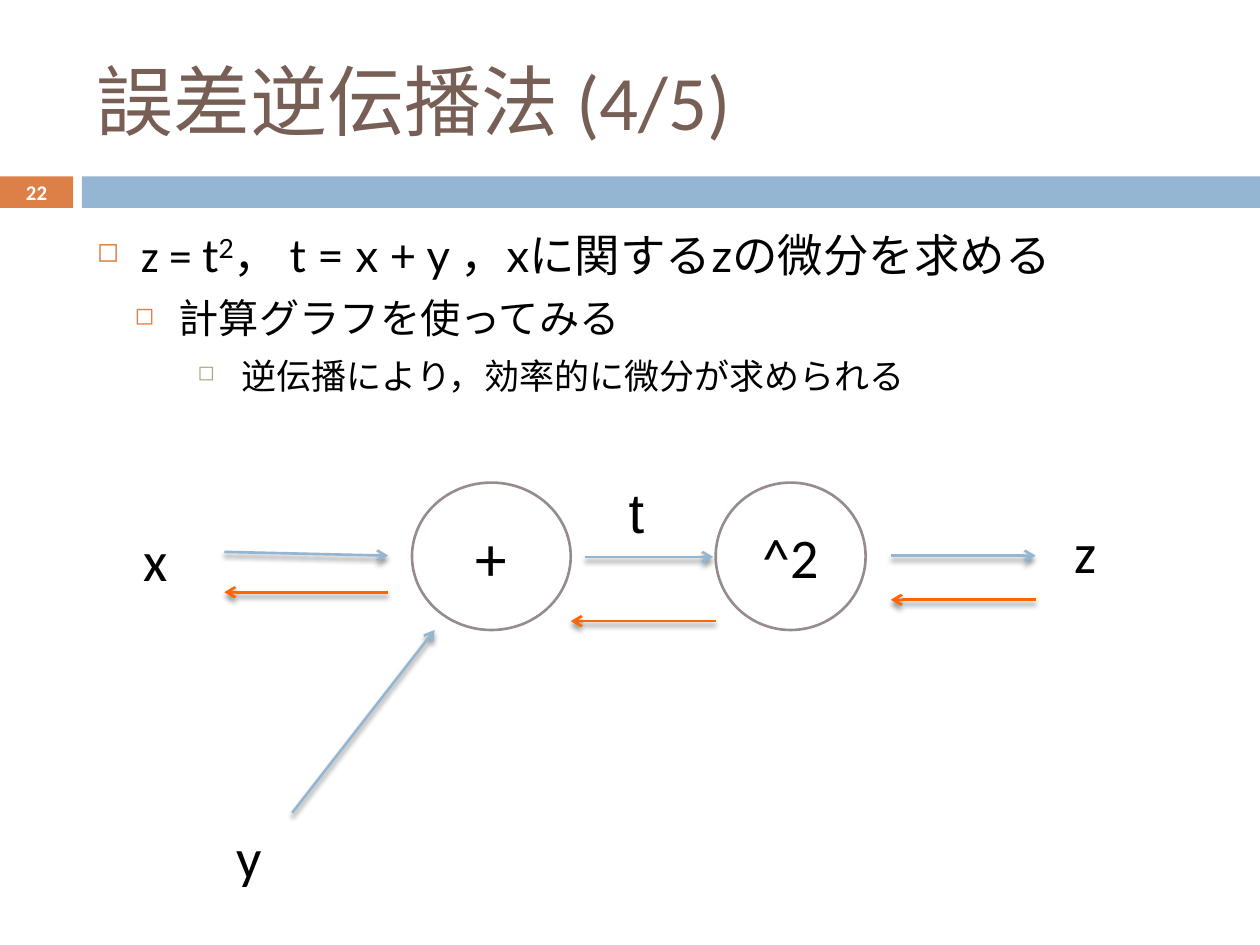
"""Build the backpropagation slide with its computational graph."""
from lxml import etree
from pptx import Presentation, util as u
from pptx.dml import color
from pptx.enum import shapes, text
from pptx.oxml import ns

WIDTH, HEIGHT = u.Inches(10), u.Inches(7.5)
COLORS = {"orange": "DD8047", "blue": "94B6D2", "brown": "775F55", "white": "FFFFFF", "black": "000000",
          "sage": "A5AB81", "outline": "968C8C", "backward": "FF6600"}

# Every place is in percent of the slide's width and height.
BARS = [("orange", (0, 18.67, 5.8, 3.33)), ("blue", (6.5, 18.67, 93.5, 3.33))]
TITLE = ("誤差逆伝播法 (4/5)", (6.7, 3.33, 89.2, 14.4))
NUMBER = ("22", (0, 18.53, 5.8, 3.6))
BODY_PLACE = (6.7, 23.33, 89.2, 21.2)
BODY = [
    (26, 0.35, "orange", [("z = ", "Calibri", 0), ("t", "Lato", 0), ("2", "Lato", 30),
                          ("， t = x + y ，xに関するzの微分を求める", "Lato", 0)]),
    (23, 0.65, "orange", [("計算グラフを使ってみる", "Lato", 0)]),
    (20, 1.15, "sage", [("逆伝播により，効率的に微分が求められる", "Lato", 0)]),
]
NODES = [("+", 36, (32.7, 51.07, 12.6, 15.6)), ("^2", 32, (56.8, 51.07, 11.9, 15.6))]
VARIABLES = [("x", "Calibri", (10.4, 54.93, 4.3, 8.53)), ("y", "Calibri", (17.8, 86.4, 4.3, 8.53)),
             ("t", "Arial", (48.9, 49.87, 3.5, 8.53)), ("z", "Calibri", (84.3, 54.13, 4, 8.53))]
ARROWS = {
    "blue": [(17.8, 58.4, 30.8, 58.8), (46.4, 58.93, 56.6, 58.93),
             (70.7, 58.8, 82.2, 58.8), (23.2, 86, 34.5, 66.67)],
    "backward": [(82.2, 63.47, 70.7, 63.47), (56.8, 65.73, 45.3, 65.73), (30.8, 62.67, 17.8, 62.67)],
}


def rgb(name):
    return color.RGBColor.from_string(COLORS[name])


def place(shares):
    return [round(share * side / 100) for share, side in zip(shares, (WIDTH, HEIGHT) * 2)]


def apply(target, values):
    for name, value in values.items():
        setattr(target, name, value)


def add_node(parent, tag, **attributes):
    return etree.SubElement(parent, ns.qn(tag), {key: str(value) for key, value in attributes.items()})


def add_span(para, words, size, font="Calibri", ink="black", bold=False):
    span = para.add_run()
    span.text = words
    apply(span.font, {"size": u.Pt(size), "name": font, "bold": bold})
    span.font.color.rgb = rgb(ink)
    return span


def add_box(page, shares, wrap=True, anchor=text.MSO_ANCHOR.TOP):
    box = page.shapes.add_textbox(*place(shares))
    apply(box.text_frame, {"word_wrap": wrap, "vertical_anchor": anchor})
    return box.text_frame


def add_shape(page, kind, shares, fill, line=None):
    shape = page.shapes.add_shape(kind, *place(shares))
    shape.shadow.inherit = False
    shape.fill.solid()
    shape.fill.fore_color.rgb = rgb(fill)
    if line:
        shape.line.color.rgb = rgb(line)
        shape.line.width = u.Pt(1.5)
    else:
        shape.line.fill.background()
    return shape


def add_arrow(page, ends, ink):
    arrow = page.shapes.add_connector(shapes.MSO_CONNECTOR.STRAIGHT, *place(ends))
    arrow.line.color.rgb = rgb(ink)
    arrow.line.width = u.Pt(1.5)
    properties = arrow.element.spPr
    add_node(properties.find(ns.qn("a:ln")), "a:tailEnd", type="arrow")
    shadow = add_node(add_node(properties, "a:effectLst"), "a:outerShdw", blurRad=u.Pt(3), dist=u.Pt(2.4),
                      dir=90 * 60000, rotWithShape=0)
    add_node(add_node(shadow, "a:srgbClr", val=COLORS["black"]), "a:alpha", val=45000)


def add_body(page):
    frame = add_box(page, BODY_PLACE)
    for index, (size, indent, bullet, spans) in enumerate(BODY):
        para = frame.paragraphs[0] if index == 0 else frame.add_paragraph()
        para.space_before = u.Pt(7 if index else 0)
        properties = para._p.get_or_add_pPr()
        properties.set("marL", str(u.Inches(indent)))
        properties.set("indent", str(u.Inches(-0.35)))
        add_node(add_node(properties, "a:buClr"), "a:srgbClr", val=COLORS[bullet])
        add_node(properties, "a:buSzPct", val=60000)
        add_node(properties, "a:buChar", char="◻")
        for words, font, raised in spans:
            span = add_span(para, words, size, font)
            if raised:
                span._r.get_or_add_rPr().set("baseline", str(raised * 1000))


def main():
    deck = Presentation()
    apply(deck, {"slide_width": WIDTH, "slide_height": HEIGHT})
    page = deck.slides.add_slide(deck.slide_layouts[6])
    middle, center = text.MSO_ANCHOR.MIDDLE, text.PP_ALIGN.CENTER
    for fill, shares in BARS:
        add_shape(page, shapes.MSO_SHAPE.RECTANGLE, shares, fill)
    words, shares = TITLE
    add_span(add_box(page, shares, anchor=middle).paragraphs[0], words, 44, ink="brown")
    words, shares = NUMBER
    para = add_box(page, shares, anchor=middle).paragraphs[0]
    para.alignment = center
    add_span(para, words, 11.9, ink="white", bold=True)
    add_body(page)
    for words, size, shares in NODES:
        frame = add_shape(page, shapes.MSO_SHAPE.OVAL, shares, "white", "outline").text_frame
        frame.vertical_anchor = middle
        frame.paragraphs[0].alignment = center
        add_span(frame.paragraphs[0], words, size)
    for words, font, shares in VARIABLES:
        add_span(add_box(page, shares, wrap=False).paragraphs[0], words, 32, font)
    for ink, routes in ARROWS.items():
        for ends in routes:
            add_arrow(page, ends, ink)
    deck.save("out.pptx")


if __name__ == "__main__":
    main()
